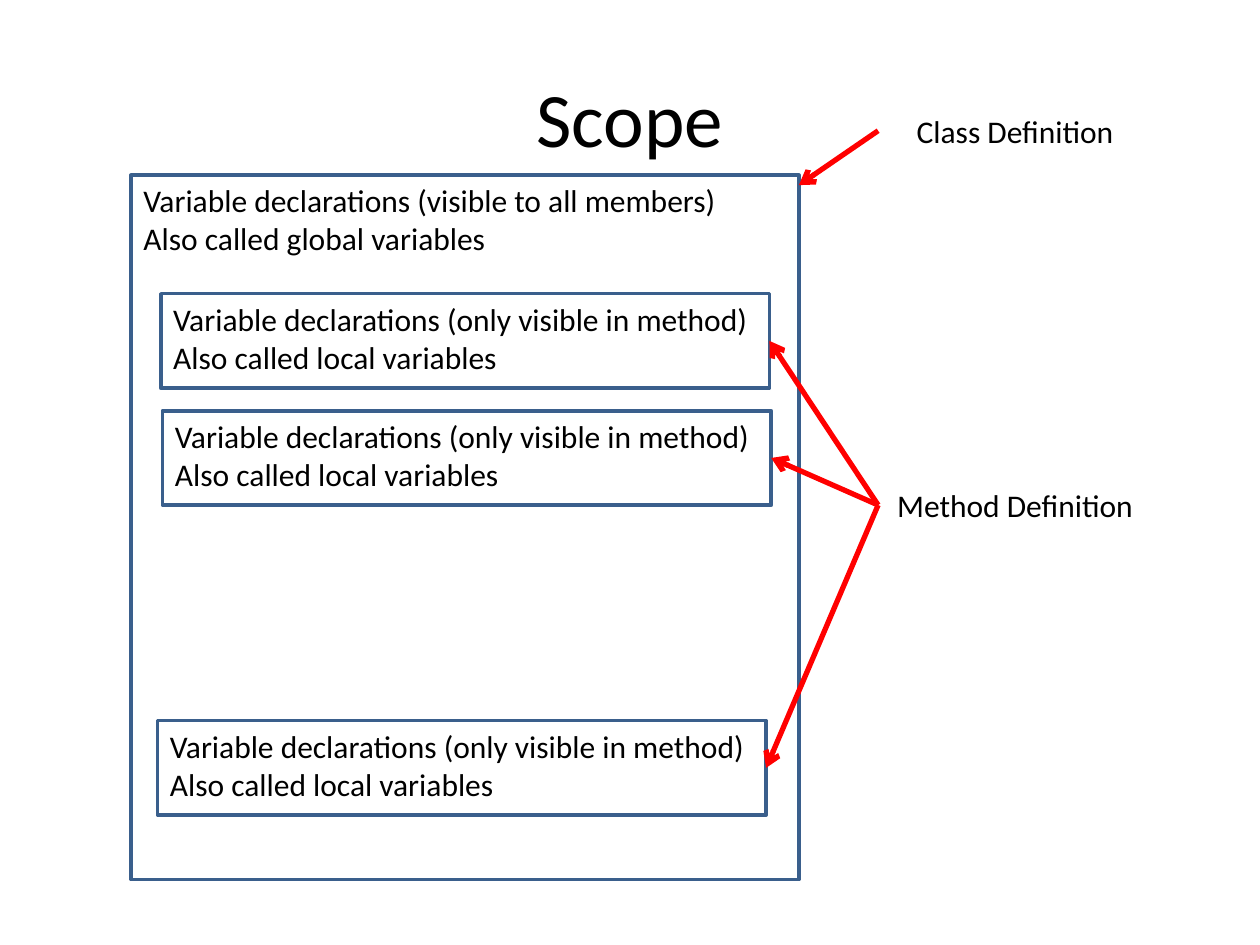
from lxml import etree
from pptx import Presentation
from pptx import util as u
from pptx.dml.color import RGBColor
from pptx.enum import shapes, text
from pptx.oxml.ns import qn


def colour(value):
    return RGBColor.from_string(value)


def write(frame, lines, size=18, font="Calibri", ink="000000",
          align=text.PP_ALIGN.LEFT, anchor=text.MSO_ANCHOR.TOP):
    frame.word_wrap = True
    frame.vertical_anchor = anchor
    for number, line in enumerate(lines):
        paragraph = frame.add_paragraph() if number else frame.paragraphs[0]
        paragraph.alignment = align
        run = paragraph.add_run()
        run.text = line
        run.font.size = u.Pt(size)
        run.font.name = font
        run.font.color.rgb = colour(ink)


class ScopeSlide:
    border = "3A5F8C"
    pointer = "FF0000"
    centred = dict(align=text.PP_ALIGN.CENTER, anchor=text.MSO_ANCHOR.MIDDLE)

    def __init__(self, deck):
        self.slide = deck.slides.add_slide(deck.slide_layouts[5])

    def title(self, words, left, top, width, height):
        heading = self.slide.shapes.title
        heading.left, heading.top = u.Pt(left), u.Pt(top)
        heading.width, heading.height = u.Pt(width), u.Pt(height)
        write(heading.text_frame, [words], size=44, **self.centred)

    def box(self, lines, left, top, width, height, border=None, **style):
        process = self.slide.shapes.add_shape(
            shapes.MSO_SHAPE.FLOWCHART_PROCESS,
            u.Pt(left), u.Pt(top), u.Pt(width), u.Pt(height))
        process.shadow.inherit = False
        process.fill.background()
        if border:
            process.line.color.rgb = colour(border)
            process.line.width = u.Pt(2)
        else:
            process.line.fill.background()
        write(process.text_frame, lines, **style)

    def scope(self, lines, left, top, width, height):
        self.box(lines, left, top, width, height, border=self.border)

    def label(self, words, left, top, width, height):
        self.box([words], left, top, width, height, **self.centred)

    def arrow(self, start, end):
        line = self.slide.shapes.add_connector(
            shapes.MSO_CONNECTOR.STRAIGHT, *map(u.Pt, start + end))
        line.line.color.rgb = colour(self.pointer)
        line.line.width = u.Pt(3)
        etree.SubElement(line.line._get_or_add_ln(), qn("a:tailEnd"), type="arrow")
        etree.SubElement(line._element.spPr, qn("a:effectLst"))


deck = Presentation()
deck.slide_width, deck.slide_height = u.Pt(720), u.Pt(540)
page = ScopeSlide(deck)

label_left, label_width, label_height = 501.8, 156.5, 39.6
class_label_top, method_label_top = 54.9, 268.8
class_left, class_top, class_width, class_height = 74.9, 100.1, 381.6, 402.5
method_width, method_height = 347.8, 54
methods = [(91.9, 167.8), (92.9, 234.7), (90, 411.8)]

page.title("Scope", 36, 21.6, 648, 90)
page.scope(["Variable declarations (visible to all members)",
            "Also called global variables"],
           class_left, class_top, class_width, class_height)
page.label("Class Definition", label_left, class_label_top, label_width, label_height)
page.arrow((label_left, class_label_top + label_height / 2),
           (class_left + class_width, 105.8))

for left, top in methods:
    page.scope(["Variable declarations (only visible in method)",
                "Also called local variables"],
               left, top, method_width, method_height)
page.label("Method Definition", label_left, method_label_top, label_width, label_height)
for left, top in methods:
    page.arrow((label_left, method_label_top + label_height / 2),
               (left + method_width, top + method_height / 2))

deck.save("out.pptx")
